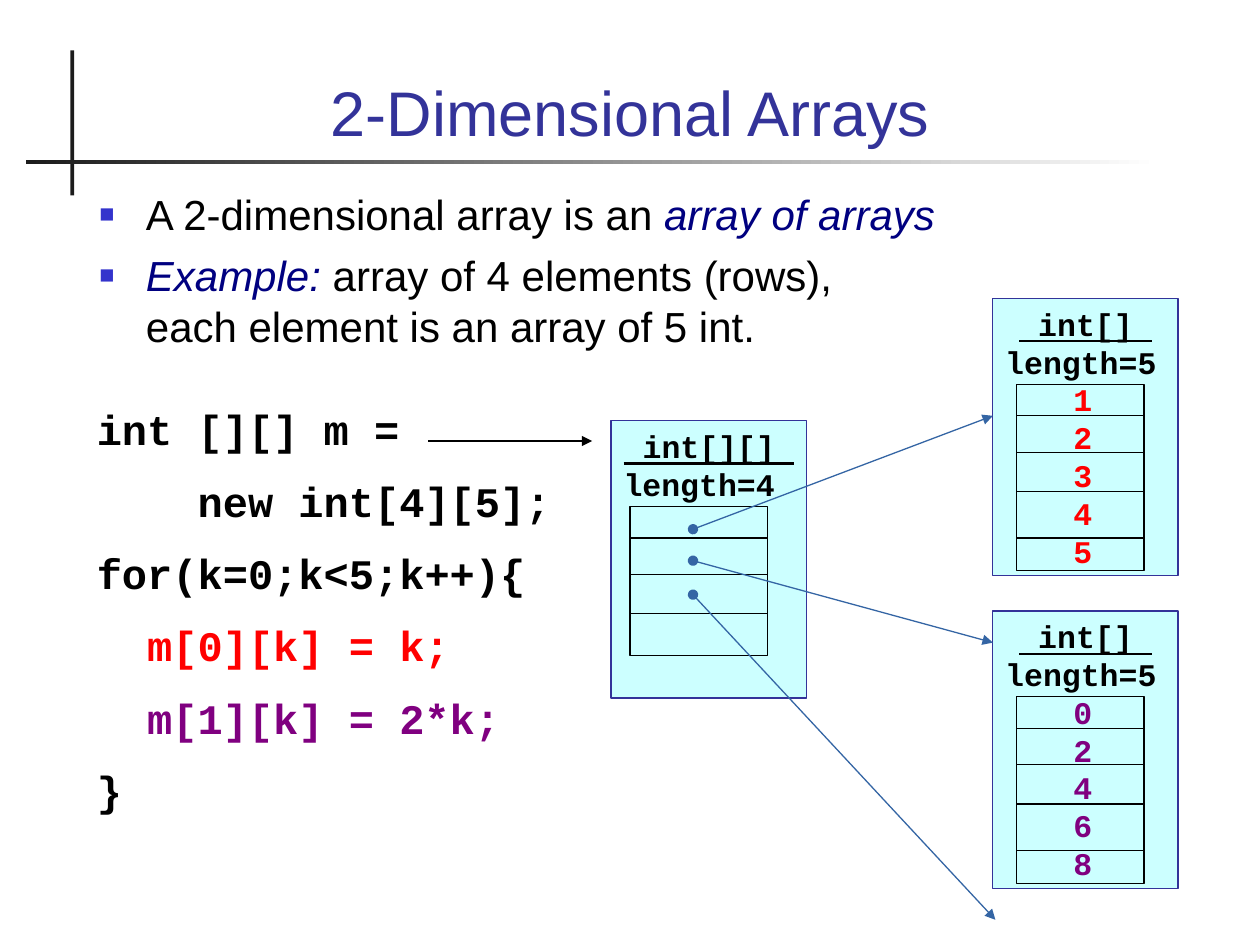
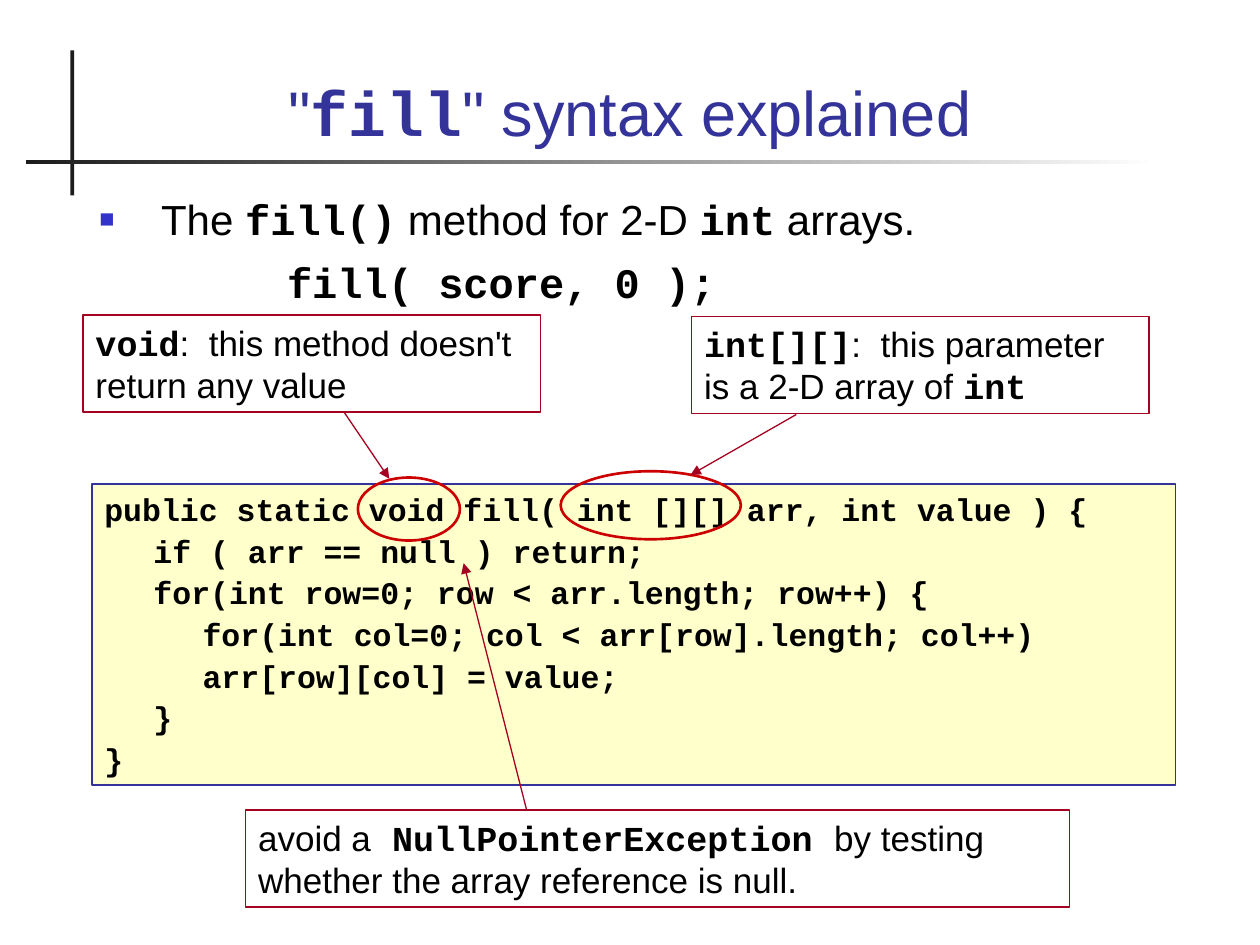
import pptx
import pptx.util
import pptx.dml.color
import pptx.enum.shapes
import pptx.enum.text
import pptx.oxml.ns
from lxml import etree

Inches = pptx.util.Inches
Pt = pptx.util.Pt
KIND = pptx.enum.shapes.MSO_SHAPE
ALIGN = pptx.enum.text.PP_ALIGN
ANCHOR = pptx.enum.text.MSO_ANCHOR

# Colours and fonts
HUES = {"black": "000000", "title": "333399", "band": "1C1C1C", "white": "FFFFFF",
        "bullet": "3333CC", "navy": "000080", "red": "FF0000", "plum": "800080",
        "array": "CCFFFF", "code": "FFFFCC", "arrow": "3465A4",
        "note": "A50021", "ring": "CC0000"}
SANS, MONO = "Arial", "Courier New"

# Run styles: what differs from the box's own format
CODE = {"face": MONO, "bold": True}
TERM = {"hue": "navy", "italic": True}

# Content: a paragraph is a list of (text, style) runs
TITLES = [
    [[("2-Dimensional Arrays", {})]],
    [[('"', {}), ("fill", CODE), ('" syntax explained', {})]],
]
POINTS = [
    [("A 2-dimensional array is an ", {}), ("array of arrays", TERM)],
    [("Example: ", TERM),
     ("array of 4 elements (rows),\neach element is an array of 5 int.", {})],
]
LOOP = [
    [("int [][] m =", {})],
    [("    new int[4][5];", {})],
    [("for(k=0;k<5;k++){", {})],
    [("  ", {}), ("m[0][k] = k;", {"hue": "red"})],
    [("  ", {}), ("m[1][k] = 2*k;", {"hue": "plum"})],
    [("}", {})],
]
# Arrays: type, length, values, hue, box, cell frame, number of cells
ARRAYS = [
    (" int[][] ", 4, [], "black", (4.85, 3.34, 1.55, 2.2), (5, 4.02, 1.09, 1.18), 4),
    (" int[] ", 5, [1, 2, 3, 4, 5], "red",
     (7.88, 2.37, 1.47, 2.2), (8.07, 3.05, 1.01, 1.48), 5),
    (" int[] ", 5, [0, 2, 4, 6, 8], "plum",
     (7.88, 4.85, 1.47, 2.2), (8.07, 5.53, 1.01, 1.48), 5),
]
RULES = [0.25, 0.54, 0.85, 1.22]  # cell borders below the frame's top
REFS = [((5.5, 4.2), (7.88, 3.3)), ((5.5, 4.45), (7.88, 5.1)), ((5.5, 4.72), (7.9, 7.3))]

USAGE = [
    [("The ", {}), ("fill()", CODE), (" method for 2-D ", {}), ("int", CODE),
     (" arrays.", {})],
]
CALL = [[("fill( score, 0 );", CODE)]]
# Method body: indent level, line
METHOD = [
    (0, "public static void fill( int [][] arr, int value ) {"),
    (1, "if ( arr == null ) return;"),
    (1, "for(int row=0; row < arr.length; row++) {"),
    (2, "for(int col=0; col < arr[row].length; col++)"),
    (2, "arr[row][col] = value;"),
    (1, "}"),
    (0, "}"),
]
STEP = 0.39
# Notes: box, text, arrow
NOTES = [
    ((0.66, 2.5, 3.63, 0.77),
     [("void", CODE), (":  this method doesn't return any value", {})],
     ((2.73, 3.27), (3.09, 3.8))),
    ((5.49, 2.51, 3.63, 0.77),
     [("int[][]", CODE), (":  this parameter is a 2-D array of ", {}), ("int", CODE)],
     ((6.32, 3.29), (5.48, 3.77))),
    ((1.95, 6.43, 6.54, 0.77),
     [("avoid a", {}), (" NullPointerException ", CODE),
      ("by testing whether the array reference is null.", {})],
     ((4.18, 6.43), (3.68, 4.47))),
]
RINGS = [(2.84, 3.79, 0.81, 0.5), (4.45, 3.74, 1.43, 0.54)]


def rgb(hue):
    return pptx.dml.color.RGBColor.from_string(HUES[hue])


def add_tag(node, name, **attrs):
    tag = etree.SubElement(node, pptx.oxml.ns.qn("a:" + name), attrs)
    return tag


def add_box(slide, place, fill=None, line=None, width=0.75, kind=KIND.RECTANGLE):
    box = slide.shapes.add_shape(kind, *map(Inches, place))
    box.shadow.inherit = False
    if fill:
        box.fill.solid()
        box.fill.fore_color.rgb = rgb(fill)
    else:
        box.fill.background()
    if line:
        box.line.color.rgb = rgb(line)
        box.line.width = Pt(width)
    else:
        box.line.fill.background()
    return box


def add_line(slide, start, end, hue="black", head=None, tail=None):
    line = slide.shapes.add_connector(
        pptx.enum.shapes.MSO_CONNECTOR.STRAIGHT, *map(Inches, start + end))
    line.line.color.rgb = rgb(hue)
    line.line.width = Pt(0.75)
    ends = line.line._get_or_add_ln()
    for name, mark in (("headEnd", head), ("tailEnd", tail)):
        if mark:
            add_tag(ends, name, type=mark)
    add_tag(line._element.spPr, "effectLst")


def add_bullet(para, hang):
    props = para._p.get_or_add_pPr()
    props.set("indent", str(-Inches(hang)))
    add_tag(add_tag(props, "buClr"), "srgbClr", val=HUES["bullet"])
    add_tag(props, "buSzPct", val="60000")
    add_tag(props, "buFont", typeface=SANS)
    add_tag(props, "buChar", char="■")


def write(box, paras, size=24, face=SANS, hue="black", bold=False, align=ALIGN.LEFT,
          anchor=ANCHOR.TOP, gap=0, margins=None, bullet=False):
    """Fill a box with paragraphs; margins holds one left margin for each."""
    frame = box.text_frame
    frame.word_wrap = True
    frame.vertical_anchor = anchor
    for i, runs in enumerate(paras):
        para = frame.paragraphs[0] if i == 0 else frame.add_paragraph()
        para.alignment = align
        para.line_spacing = Pt(size * 1.2)
        para.space_before = Pt(gap if i else 0)
        if margins:
            para._p.get_or_add_pPr().set("marL", str(Inches(margins[i])))
        if bullet:
            add_bullet(para, margins[i])
        for words, style in runs:
            for j, part in enumerate(words.split("\n")):
                if j:
                    para.add_line_break()
                run = para.add_run()
                run.text = part
                font = run.font
                font.size = Pt(size)
                font.name = style.get("face", face)
                font.bold = style.get("bold", bold)
                font.italic = style.get("italic", False)
                font.underline = style.get("under", False)
                font.color.rgb = rgb(style.get("hue", hue))


def add_text(slide, place, paras, **form):
    write(slide.shapes.add_textbox(*map(Inches, place)), paras, **form)


def add_page(deck, title):
    """Blank slide with the crossing bands and the title."""
    slide = deck.slides.add_slide(deck.slide_layouts[6])
    add_box(slide, (0.56, 0.4, 0.03, 1.15), fill="band")
    band = add_box(slide, (0.21, 1.27, 8.99, 0.03))
    band.fill.gradient()
    band.fill.gradient_angle = 180
    for stop, hue in zip(band.fill.gradient_stops, ("white", "band")):
        stop.color.rgb = rgb(hue)
    add_text(slide, (0.67, 0.28, 8.66, 0.95), title, size=36, hue="title",
             align=ALIGN.CENTER, anchor=ANCHOR.BOTTOM)
    return slide


def add_array(slide, kind, length, values, hue, place, cells, count):
    box = add_box(slide, place, fill="array", line="title")
    paras = [[(kind, {"under": True})], [(f"length={length}", {})]]
    paras += [[(str(value), {"hue": hue})] for value in values]
    write(box, paras, size=18, face=MONO, bold=True,
          margins=[0, 0] + [0.54] * len(values))
    box.text_frame.paragraphs[0].alignment = ALIGN.CENTER
    add_box(slide, cells, line="black")
    left, top, width, _ = cells
    for rule in RULES[:count - 1]:
        add_line(slide, (left, top + rule), (left + width, top + rule))


def main():
    deck = pptx.Presentation()
    deck.slide_width, deck.slide_height = Inches(10), Inches(7.5)

    # Slide 1: array of arrays
    slide = add_page(deck, TITLES[0])
    add_text(slide, (0.69, 1.45, 8.66, 1.51), POINTS, gap=6,
             margins=[0.37, 0.37], bullet=True)
    add_text(slide, (0.67, 3.15, 4, 3.94), LOOP, face=MONO, bold=True, gap=12.5)
    for array in ARRAYS:
        add_array(slide, *array)
    add_line(slide, (3.4, 3.5), (4.7, 3.5), tail="triangle")
    for start, end in REFS:
        add_line(slide, start, end, "arrow", head="oval", tail="triangle")

    # Slide 2: the fill method
    slide = add_page(deck, TITLES[1])
    method = add_box(slide, (0.73, 3.84, 8.6, 2.39), fill="code", line="title")
    write(method, [[(line, {})] for _, line in METHOD], size=18, face=MONO, bold=True,
          gap=2.2, margins=[level * STEP for level, _ in METHOD])
    add_text(slide, (0.69, 1.49, 8.63, 0.51), USAGE, margins=[0.49], bullet=True)
    add_text(slide, (2.18, 1.99, 4, 0.5), CALL)
    for ring in RINGS:
        add_box(slide, ring, line="ring", width=1.5, kind=KIND.OVAL)
    for place, runs, (start, end) in NOTES:
        write(add_box(slide, place, line="note"), [runs], size=20)
        add_line(slide, start, end, "note", tail="triangle")

    deck.save("out.pptx")


if __name__ == "__main__":
    main()
